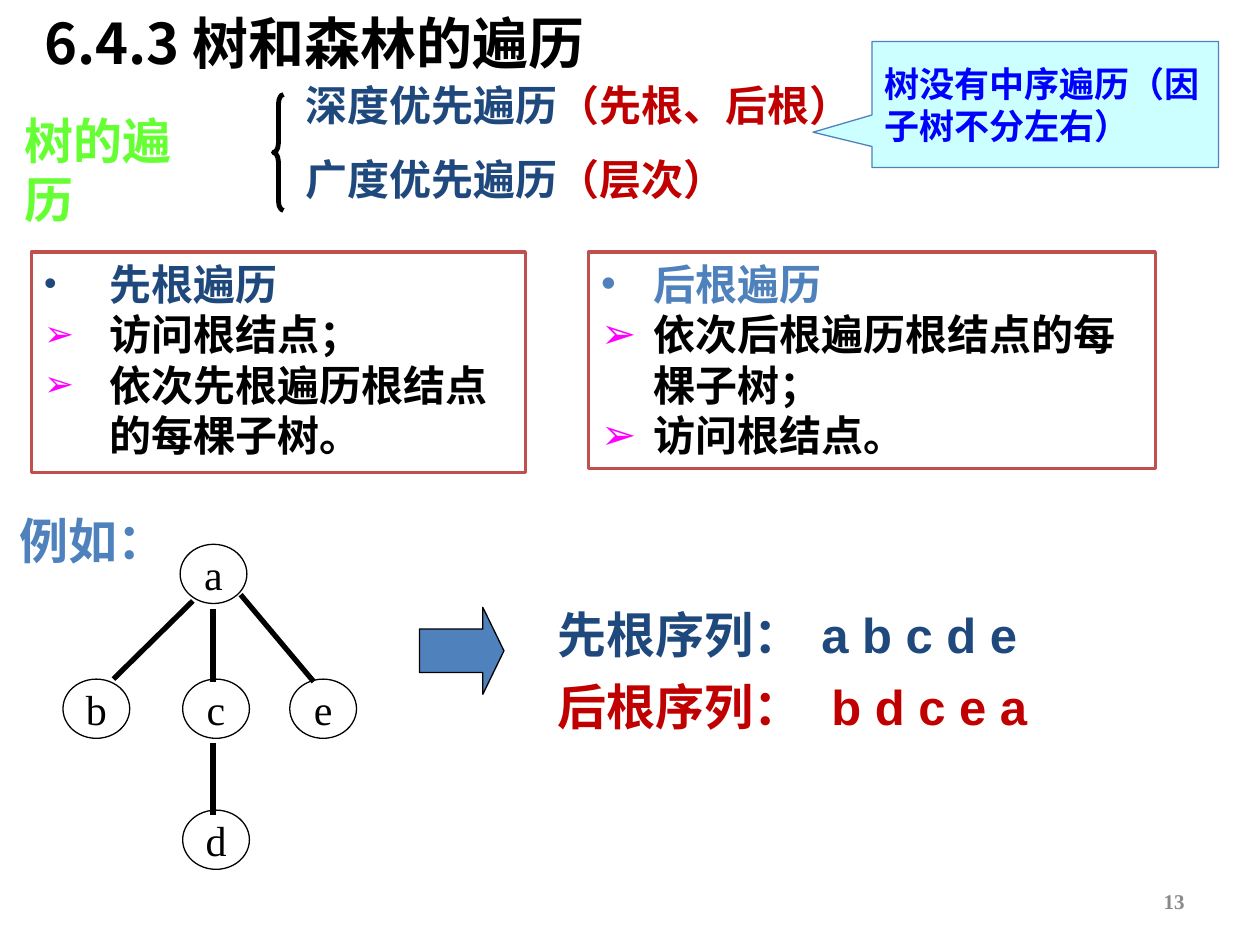
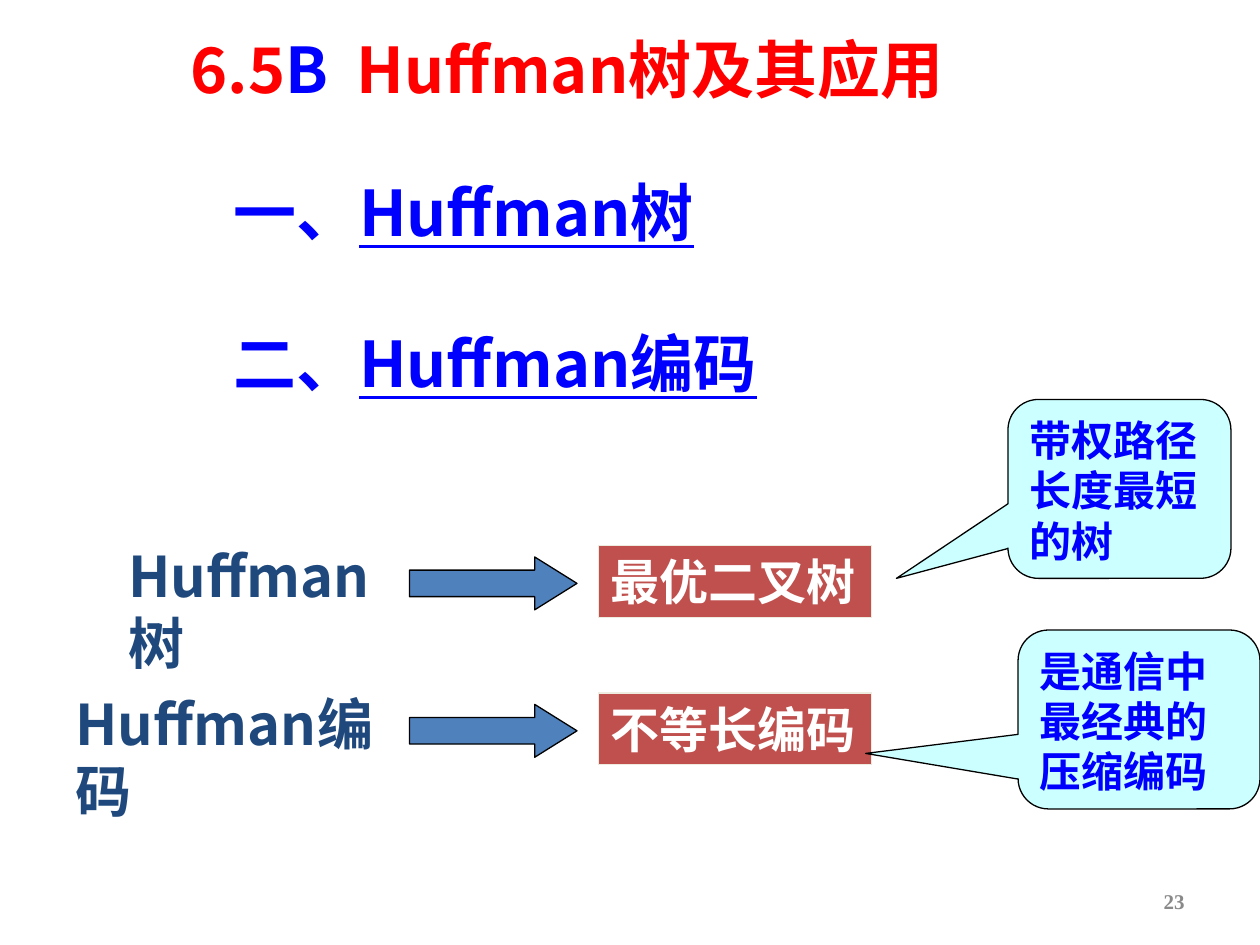
import pptx
import pptx.util
import pptx.dml.color
import pptx.oxml.ns
import pptx.enum.text
import pptx.enum.shapes
from dataclasses import dataclass
from lxml import etree

Inches = pptx.util.Inches
Pt = pptx.util.Pt
Align = pptx.enum.text.PP_ALIGN
Anchor = pptx.enum.text.MSO_ANCHOR
Shape = pptx.enum.shapes.MSO_SHAPE
qn = pptx.oxml.ns.qn


@dataclass(frozen=True)
class Theme:
    cjk: str = "Noto Sans CJK SC"
    sans: str = "Arial"
    serif: str = "Times New Roman"
    black: str = "000000"
    white: str = "FFFFFF"
    navy: str = "1F497D"
    blue: str = "4F81BD"
    vivid: str = "0000FF"
    red: str = "FF0000"
    crimson: str = "C00000"
    brick: str = "C0504D"
    cream: str = "EEECE1"
    green: str = "66FF33"
    pink: str = "FF00FF"
    pale: str = "CCFFFF"
    gray: str = "898989"
    hero: int = 36
    title: int = 32
    head: int = 28
    body: int = 24
    note: int = 20
    foot: int = 12


T = Theme()

TRAVERSAL_TITLE = [("6.4.3 树和森林的遍历", T.black)]
HEADINGS = [
    ("树的遍历", T.green, (0.1, 0.83, 1.74, 0.57)),
    ("例如：", T.blue, (0.06, 4, 1.38, 0.57)),
]
ORDERS = [
    ("深度优先遍历", "（先根、后根）", (2.33, 0.58, 4.75, 0.5)),
    ("广度优先遍历", "（层次）", (2.33, 1.17, 3.75, 0.5)),
]
PANELS = [
    dict(box=(0.25, 2, 3.92, 1.75), head="先根遍历", color=T.navy, font=T.sans,
         steps=["访问根结点；", "依次先根遍历根结点的每棵子树。"],
         indent=0.52, bullet_size=85),
    dict(box=(4.67, 2, 4.5, 1.72), head="后根遍历", color=T.blue, font=T.serif,
         steps=["依次后根遍历根结点的每棵子树；", "访问根结点。"],
         indent=0.42, bullet_size=100),
]
NO_INORDER = "树没有中序遍历（因子树不分左右）"
NODE_SIZE = (0.53, 0.47)
TREE_NODES = {"a": (1.43, 4.32), "b": (0.5, 5.39), "c": (1.45, 5.39),
              "e": (2.3, 5.39), "d": (1.45, 6.43)}
TREE_EDGES = [(1.53, 4.77, 0.9, 5.39), (1.91, 4.72, 2.49, 5.41),
              (1.69, 4.83, 1.69, 5.41), (1.69, 5.9, 1.69, 6.47)]
SEQUENCES = [
    ("先根序列：", "a b c d e", T.navy, 6.42),
    ("后根序列：", "b d c e a", T.crimson, 6.5),
]

HUFFMAN_TITLE = [("6.5", T.red), ("B", T.vivid), ("  Huffman树及其应用", T.red)]
TOPICS = [("一、", "Huffman树"), ("二、", "Huffman编码")]
MEANINGS = [
    dict(term="Huffman树", left=0.92, width=2.54, meaning="最优二叉树",
         note="带权路径长度最短的树", bubble=(8, 3.17, 1.77, 1.42), tail=(-1, 0.5)),
    dict(term="Huffman编码", left=0.5, width=2.65, meaning="不等长编码",
         note="是通信中最经典的压缩编码", bubble=(8.08, 5, 1.92, 1.42),
         tail=(-1.13, 0.19)),
]
ROW_TOP, ROW_STEP = 4.25, 1.17


def rgb(color):
    return pptx.dml.color.RGBColor.from_string(color)


def place(sp, box):
    sp.left, sp.top, sp.width, sp.height = map(Inches, box)


def add_run(p, text, size, color, font=T.cjk, bold=True, underline=None):
    r = p.add_run()
    r.text = text
    r.font.size = Pt(size)
    r.font.name = font
    r.font.bold = bold
    r.font.underline = underline
    r.font.color.rgb = rgb(color)
    latin = r.font._element.find(qn("a:latin"))
    ea = etree.Element(qn("a:ea"), typeface=T.cjk)
    latin.addnext(ea)


def set_bullet(p, char=None, indent=0, color=None, size=100):
    pPr = p._p.get_or_add_pPr()
    pPr.set("marL", str(Inches(indent)))
    pPr.set("indent", str(-Inches(indent)))
    if char is None:
        etree.SubElement(pPr, qn("a:buNone"))
        return
    if color:
        clr = etree.SubElement(pPr, qn("a:buClr"))
        etree.SubElement(clr, qn("a:srgbClr"), val=color)
    etree.SubElement(pPr, qn("a:buSzPct"), val=str(size * 1000))
    etree.SubElement(pPr, qn("a:buFont"), typeface=T.sans)
    etree.SubElement(pPr, qn("a:buChar"), char=char)


def add_text(s, box, runs, size, font=T.cjk, align=Align.LEFT, anchor=Anchor.TOP):
    tf = s.shapes.add_textbox(*map(Inches, box)).text_frame
    tf.word_wrap = True
    tf.vertical_anchor = anchor
    p = tf.paragraphs[0]
    p.alignment = align
    for text, color in runs:
        add_run(p, text, size, color, font)


def add_shape(s, kind, box, fill=None, line=T.black, weight=0.75, adj=()):
    sp = s.shapes.add_shape(kind, *map(Inches, box))
    sp.shadow.inherit = False
    if fill:
        sp.fill.solid()
        sp.fill.fore_color.rgb = rgb(fill)
    else:
        sp.fill.background()
    sp.line.color.rgb = rgb(line)
    sp.line.width = Pt(weight)
    for i, value in enumerate(adj):
        sp.adjustments[i] = value
    return sp


def label(sp, text, size, color, font=T.cjk, bold=True, align=Align.LEFT,
          anchor=Anchor.TOP, wrap=True):
    tf = sp.text_frame
    tf.word_wrap = wrap
    tf.vertical_anchor = anchor
    p = tf.paragraphs[0]
    p.alignment = align
    add_run(p, text, size, color, font, bold)


def add_edge(s, ends):
    line = s.shapes.add_connector(pptx.enum.shapes.MSO_CONNECTOR.STRAIGHT,
                                  *map(Inches, ends))
    line.line.color.rgb = rgb(T.black)
    line.line.width = Pt(3)
    etree.SubElement(line._element.spPr, qn("a:effectLst"))


def open_body(ph, box):
    place(ph, box)
    tf = ph.text_frame
    tf.word_wrap = True
    tf.auto_size = pptx.enum.text.MSO_AUTO_SIZE.NONE
    return tf


def next_paragraph(tf, i):
    return tf.add_paragraph() if i else tf.paragraphs[0]


def new_slide(prs, layout, title, box, size, align, number):
    s = prs.slides.add_slide(prs.slide_layouts[layout])
    tf = open_body(s.shapes.title, box)
    tf.vertical_anchor = Anchor.MIDDLE
    p = tf.paragraphs[0]
    p.alignment = align
    for text, color in title:
        add_run(p, text, size, color)
    add_text(s, (7.17, 6.95, 2.33, 0.4), [(number, T.gray)], T.foot, T.serif,
             Align.RIGHT, Anchor.MIDDLE)
    return s


def fill_panel(ph, panel):
    tf = open_body(ph, panel["box"])
    ph.line.color.rgb = rgb(T.brick)
    ph.line.width = Pt(1.75)
    items = [(panel["head"], "•", panel["color"], None)]
    items += [(step, "➢", T.black, T.pink) for step in panel["steps"]]
    for i, (text, char, color, bullet_color) in enumerate(items):
        p = next_paragraph(tf, i)
        set_bullet(p, char, panel["indent"], bullet_color, panel["bullet_size"])
        p.space_before = Pt(0)
        add_run(p, text, T.body, color, panel["font"])


def build_traversal(prs):
    s = new_slide(prs, 3, TRAVERSAL_TITLE, (0.25, 0, 5.42, 0.67), T.title,
                  Align.LEFT, "13")
    for text, color, box in HEADINGS:
        add_text(s, box, [(text, color)], T.head)
    for name, kinds, box in ORDERS:
        add_text(s, box, [(name, T.navy), (kinds, T.crimson)], T.body, T.serif)
    add_shape(s, Shape.LEFT_BRACE, (2.17, 0.75, 0.08, 0.92), weight=2.75,
              adj=(0.92, 0.5))
    for i, panel in enumerate(PANELS, 1):
        fill_panel(s.placeholders[i], panel)
    callout = add_shape(s, Shape.RECTANGULAR_CALLOUT, (6.92, 0.33, 2.75, 1),
                        T.pale, T.blue, adj=(-0.67, 0.22))
    label(callout, NO_INORDER, T.note, T.vivid, T.serif, anchor=Anchor.MIDDLE)

    for name, corner in TREE_NODES.items():
        node = add_shape(s, Shape.OVAL, corner + NODE_SIZE)
        label(node, name, T.body, T.black, T.serif, False, Align.CENTER,
              Anchor.MIDDLE, False)
    for ends in TREE_EDGES:
        add_edge(s, ends)
    add_shape(s, Shape.RIGHT_ARROW, (3.33, 4.82, 0.67, 0.69), T.blue,
              adj=(0.5, 0.25))
    for i, (name, letters, color, left) in enumerate(SEQUENCES):
        top = 4.75 + 0.57 * i
        add_text(s, (4.33, top, 2.16, 0.57), [(name, color)], T.head, T.sans)
        add_text(s, (left, top, 2.08, 0.57), [(letters, color)], T.head, T.sans)


def build_huffman(prs):
    s = new_slide(prs, 1, HUFFMAN_TITLE, (0.25, 0.19, 8.5, 0.7), T.hero,
                  Align.CENTER, "23")
    tf = open_body(s.placeholders[1], (1.75, 1.33, 6.33, 1.9))
    for i, (number, topic) in enumerate(TOPICS):
        p = next_paragraph(tf, i)
        set_bullet(p)
        p.space_before = Pt(43 * i)
        add_run(p, number, T.hero, T.vivid)
        add_run(p, topic, T.hero, T.vivid, underline=True)
    for i, row in enumerate(MEANINGS):
        top = ROW_TOP + ROW_STEP * i
        add_text(s, (row["left"], top, row["width"], 0.63),
                 [(row["term"], T.navy)], T.title)
        add_shape(s, Shape.RIGHT_ARROW, (3.25, top + 0.17, 1.33, 0.42), T.blue,
                  adj=(0.5, 0.8))
        tag = add_shape(s, Shape.RECTANGLE, (4.75, top + 0.08, 2.17, 0.57),
                        T.brick, T.cream)
        label(tag, row["meaning"], T.head, T.white, wrap=False)
        bubble = add_shape(s, Shape.ROUNDED_RECTANGULAR_CALLOUT, row["bubble"],
                           T.pale, adj=row["tail"] + (0.17,))
        label(bubble, row["note"], T.body, T.vivid)


def main():
    prs = pptx.Presentation()
    prs.slide_width, prs.slide_height = Inches(10), Inches(7.5)
    build_traversal(prs)
    build_huffman(prs)
    prs.save("out.pptx")


if __name__ == "__main__":
    main()
